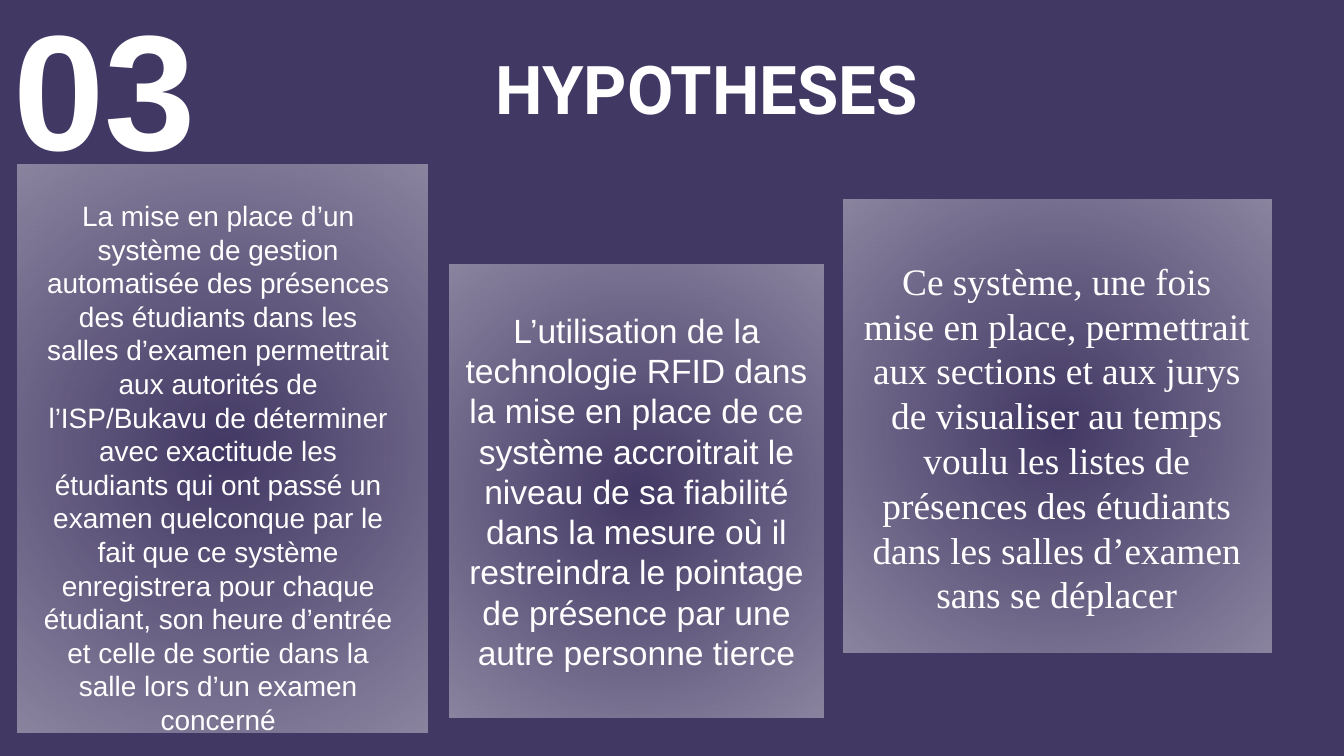
from lxml.etree import SubElement
from pptx import Presentation
from pptx.dml.color import RGBColor
from pptx.enum.text import MSO_ANCHOR, MSO_AUTO_SIZE, PP_ALIGN
from pptx.oxml.ns import qn
from pptx.util import Cm, Pt

COLORS = {"background": "423864", "text": "FFFFFF", "glow": "FFFFFF"}
LINE_HEIGHT = 1.2  # line pitch as a multiple of the font size

TITLE = "HYPOTHESES"
NUMBER = "03"

# Areas are left, top, width, height in centimetres
TITLE_AREA = (2.16, 0.74, 22.4, 1.85)
NUMBER_AREA = (0, -0.38, 4.32, 4.01)
HYPOTHESES = [
    {
        "panel": (0.33, 3.12, 7.75, 10.72),
        "text_area": (0.58, 3.63, 7.09, 10.52),
        "font": "Arial",
        "size": 15,
        "text": "La mise en place d’un système de gestion automatisée des présences "
                "des étudiants dans les salles d’examen permettrait aux autorités de "
                "l’ISP/Bukavu de déterminer avec exactitude les étudiants qui ont passé "
                "un examen quelconque par le fait que ce système enregistrera pour "
                "chaque étudiant, son heure d’entrée et celle de sortie dans la salle "
                "lors d’un examen concerné",
    },
    {
        "panel": (8.5, 5, 7.06, 8.56),
        "text_area": None,  # written inside the panel
        "font": "Arial",
        "size": 18,
        "text": "L’utilisation de la technologie RFID dans la mise en place de ce "
                "système accroitrait le niveau de sa fiabilité dans la mesure où il "
                "restreindra le pointage de présence par une autre personne tierce",
    },
    {
        "panel": (15.95, 3.78, 8.08, 8.56),
        "text_area": (16.05, 4.75, 7.85, 7.09),
        "font": "Times New Roman",
        "size": 20,
        "text": "Ce système, une fois mise en place, permettrait aux sections et aux "
                "jurys de visualiser au temps voulu les listes de présences des "
                "étudiants dans les salles d’examen sans se déplacer",
    },
]


def to_lengths(area):
    return [Cm(value) for value in area]


def write(box, text, font, size, bold=False, align=PP_ALIGN.CENTER,
          anchor=MSO_ANCHOR.TOP, margin=None):
    frame = box.text_frame
    frame.word_wrap = True
    frame.auto_size = MSO_AUTO_SIZE.NONE
    frame.vertical_anchor = anchor
    if margin is not None:
        frame.margin_left = frame.margin_right = Cm(margin)
        frame.margin_top = frame.margin_bottom = Cm(margin)
    para = frame.paragraphs[0]
    para.alignment = align
    para.line_spacing = Pt(size * LINE_HEIGHT)
    span = para.add_run()
    span.text = text
    span.font.name = font
    span.font.size = Pt(size)
    span.font.bold = bold
    span.font.color.rgb = RGBColor.from_string(COLORS["text"])


def add_panel(page, area):
    """Add a rectangle that is clear at its centre and pale at its edges."""
    panel = page.shapes.add_shape(1, *to_lengths(area))
    panel.shadow.inherit = False
    panel.line.fill.background()
    panel.fill.gradient()
    gradient = panel._element.spPr.find(qn("a:gradFill"))
    for child in list(gradient):
        gradient.remove(child)
    stops = SubElement(gradient, qn("a:gsLst"))
    for position, opacity in ((0, 0), (100, 39)):
        stop = SubElement(stops, qn("a:gs"), pos=str(position * 1000))
        color = SubElement(stop, qn("a:srgbClr"), val=COLORS["glow"])
        SubElement(color, qn("a:alpha"), val=str(opacity * 1000))
    circle = SubElement(gradient, qn("a:path"), path="circle")
    SubElement(circle, qn("a:fillToRect"), l="50000", t="50000", r="50000", b="50000")
    return panel


def main():
    deck = Presentation()
    deck.slide_width, deck.slide_height = Cm(25.4), Cm(14.29)
    page = deck.slides.add_slide(deck.slide_layouts[5])
    page.background.fill.solid()
    page.background.fill.fore_color.rgb = RGBColor.from_string(COLORS["background"])

    title = page.shapes.title
    title.left, title.top, title.width, title.height = to_lengths(TITLE_AREA)
    write(title, TITLE, "Roboto", 36, bold=True, anchor=MSO_ANCHOR.MIDDLE, margin=0.25)

    number = page.shapes.add_textbox(*to_lengths(NUMBER_AREA))
    write(number, NUMBER, "Arial", 88, bold=True, align=PP_ALIGN.LEFT)

    for item in HYPOTHESES:
        panel = add_panel(page, item["panel"])
        content = item["text"], item["font"], item["size"]
        if item["text_area"]:
            write(page.shapes.add_textbox(*to_lengths(item["text_area"])), *content)
        else:
            write(panel, *content, anchor=MSO_ANCHOR.MIDDLE, margin=0.25)

    deck.save("out.pptx")


if __name__ == "__main__":
    main()
